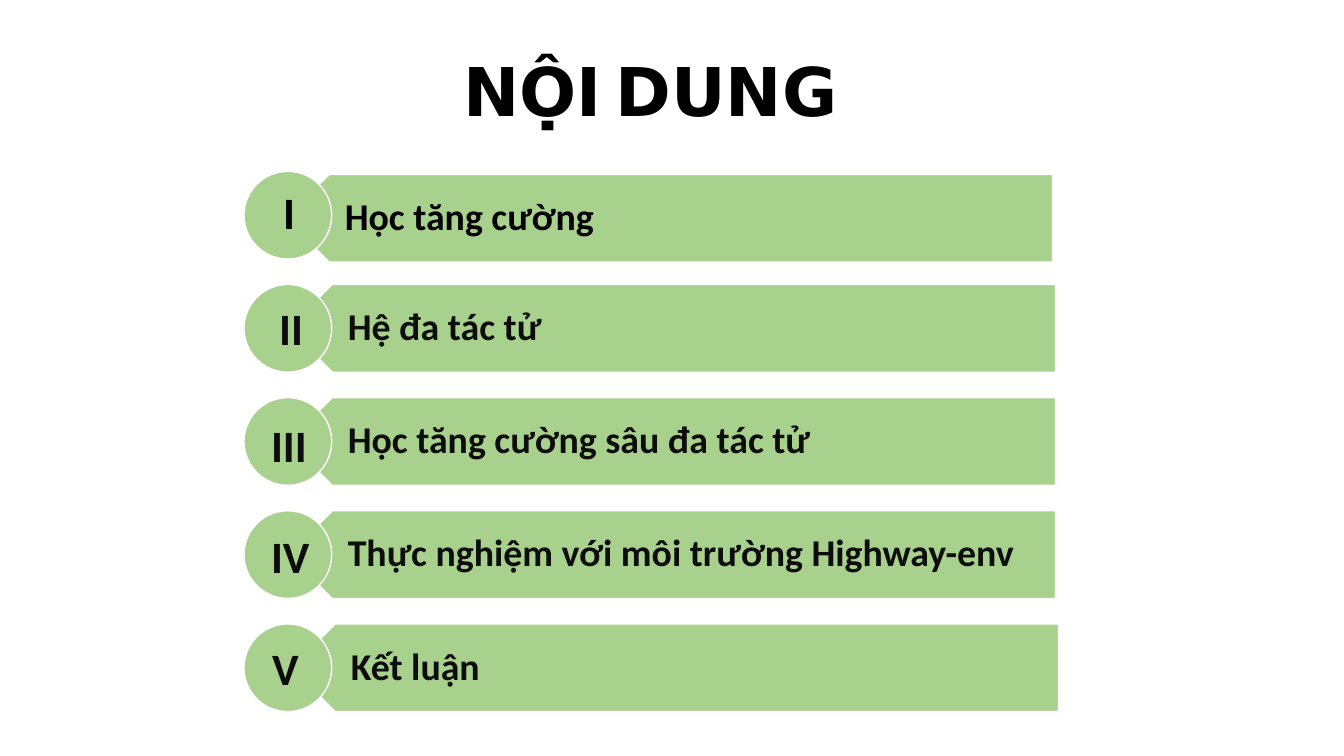
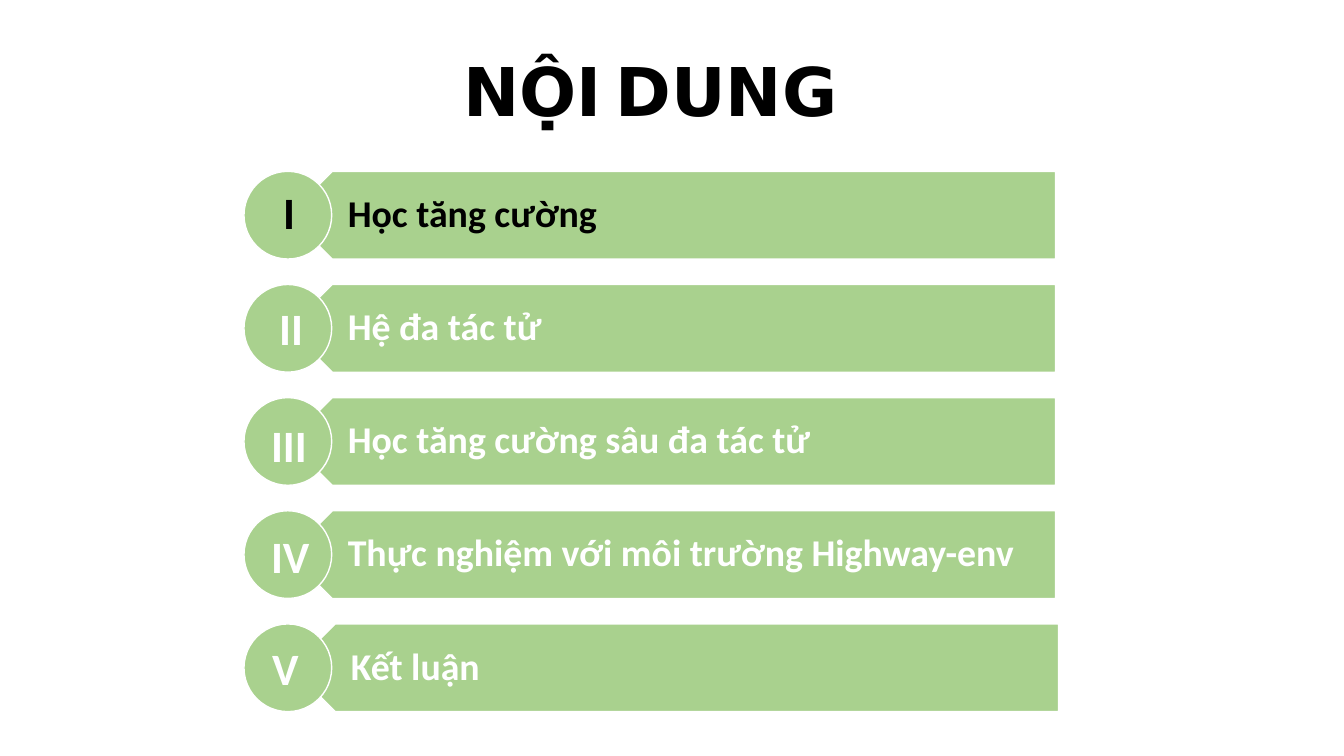
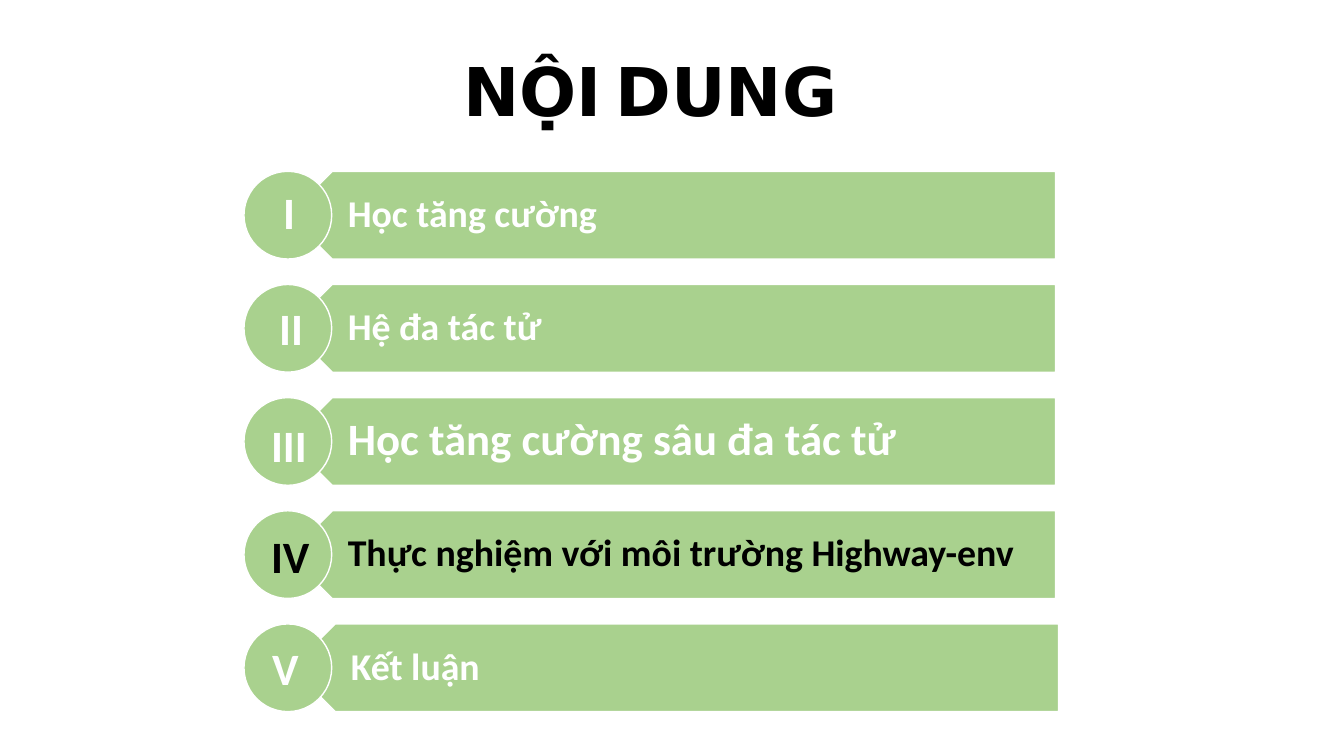
import pptx
import pptx.util
import pptx.dml.color
import pptx.enum.shapes
import pptx.enum.text

Inches = pptx.util.Inches
ShapeType = pptx.enum.shapes.MSO_SHAPE
Anchor = pptx.enum.text.MSO_ANCHOR
Align = pptx.enum.text.PP_ALIGN
AutoSize = pptx.enum.text.MSO_AUTO_SIZE

GREEN, WHITE, BLACK, CHARCOAL = "A9D18E", "FFFFFF", "000000", "0D0D0D"
BODY_FONT, TITLE_FONT = "Calibri", "DejaVu Sans"

TITLE = [("NỘI", 48, TITLE_FONT), (" ", 44, BODY_FONT), ("DUNG", 48, TITLE_FONT)]
SECTIONS = [
    ("I", "Học tăng cường", 2.71, 1.78, 0.25),
    ("II", "Hệ đa tác tử", 2.67, 2.93, 0.52),
    ("III", "Học tăng cường sâu đa tác tử", 2.59, 4.09, 0.61),
    ("IV", "Thực nghiệm với môi trường Highway-env", 2.59, 5.2, 0.82),
    ("V", "Kết luận", 2.6, 6.31, 0.82),
]
FIRST_TOP, LAST_TOP = 1.7, 6.19
ROW_PITCH = (LAST_TOP - FIRST_TOP) / (len(SECTIONS) - 1)
ROW_HEIGHT = 0.87
CIRCLE_LEFT, BAR_LEFT, LABEL_LEFT = 2.42, 2.86, 3.07
BAR_WIDTH, LABEL_WIDTH = 7.61, 7.4
NUDGE = 0.03


def color(value):
    return pptx.dml.color.RGBColor.from_string(value)


def add_text(slide, runs, left, top, width, height, *, fill=BLACK, align=Align.LEFT,
             anchor=Anchor.TOP, insets=(0.1, 0.05, 0.1, 0.05), spacing=1.0, grow=False):
    frame = slide.shapes.add_textbox(
        Inches(left), Inches(top), Inches(width), Inches(height)).text_frame
    frame.word_wrap = True
    frame.auto_size = AutoSize.SHAPE_TO_FIT_TEXT if grow else AutoSize.NONE
    frame.vertical_anchor = anchor
    frame.margin_left, frame.margin_top, frame.margin_right, frame.margin_bottom = map(
        Inches, insets)
    paragraph = frame.paragraphs[0]
    paragraph.alignment = align
    paragraph.line_spacing = spacing
    for text, size, font in runs:
        run = paragraph.add_run()
        run.text = text
        run.font.size = pptx.util.Pt(size)
        run.font.name = font
        run.font.bold = True
        run.font.color.rgb = color(fill)


def add_green_shape(slide, kind, left, top, width, rotation=0):
    shape = slide.shapes.add_shape(
        kind, Inches(left), Inches(top), Inches(width), Inches(ROW_HEIGHT))
    shape.rotation = rotation
    shape.shadow.inherit = False
    shape.fill.solid()
    shape.fill.fore_color.rgb = color(GREEN)
    shape.line.color.rgb = color(WHITE)
    shape.line.width = pptx.util.Pt(1)


def add_section(slide, index, fill, label_size, shift_x, shift_y):
    numeral, label, numeral_left, numeral_top, numeral_width = SECTIONS[index]
    top = FIRST_TOP + index * ROW_PITCH
    add_green_shape(slide, ShapeType.PENTAGON, BAR_LEFT + shift_x, top + shift_y,
                    BAR_WIDTH, rotation=180)
    add_text(slide, [(label, label_size, BODY_FONT)], LABEL_LEFT + shift_x, top + shift_y,
             LABEL_WIDTH, ROW_HEIGHT, fill=fill, anchor=Anchor.MIDDLE,
             insets=(0.38, 0.11, 0.21, 0.11), spacing=0.9)
    add_green_shape(slide, ShapeType.OVAL, CIRCLE_LEFT, top, ROW_HEIGHT)
    add_text(slide, [(numeral, 32, BODY_FONT)], numeral_left, numeral_top,
             numeral_width, 0.64, fill=fill, grow=True)


def add_agenda(presentation, active, other_color=WHITE, label_sizes={}, shifts={}):
    slide = presentation.slides.add_slide(presentation.slide_layouts[6])
    add_text(slide, TITLE, 2.06, 0.44, 8.78, 0.91, align=Align.CENTER, grow=True)
    shifts = {len(SECTIONS) - 1: (NUDGE, 0), **shifts}
    for index in range(len(SECTIONS)):
        fill = BLACK if index == active else other_color
        add_section(slide, index, fill, label_sizes.get(index, 27), *shifts.get(index, (0, 0)))


def main():
    presentation = pptx.Presentation()
    presentation.slide_width = Inches(13.33)
    presentation.slide_height = Inches(7.5)
    add_agenda(presentation, active=0, other_color=CHARCOAL, shifts={0: (-NUDGE, NUDGE)})
    add_agenda(presentation, active=0)
    add_agenda(presentation, active=3, label_sizes={2: 32})
    presentation.save("out.pptx")


if __name__ == "__main__":
    main()
